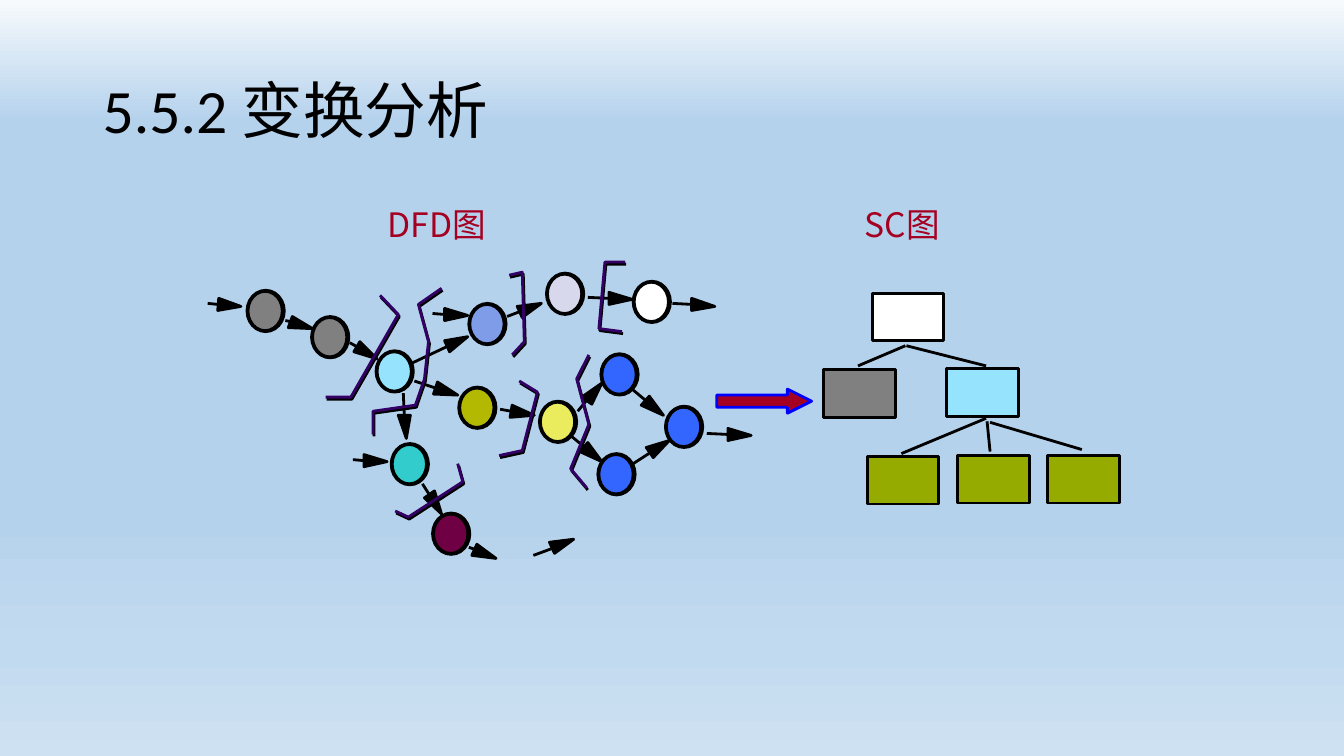
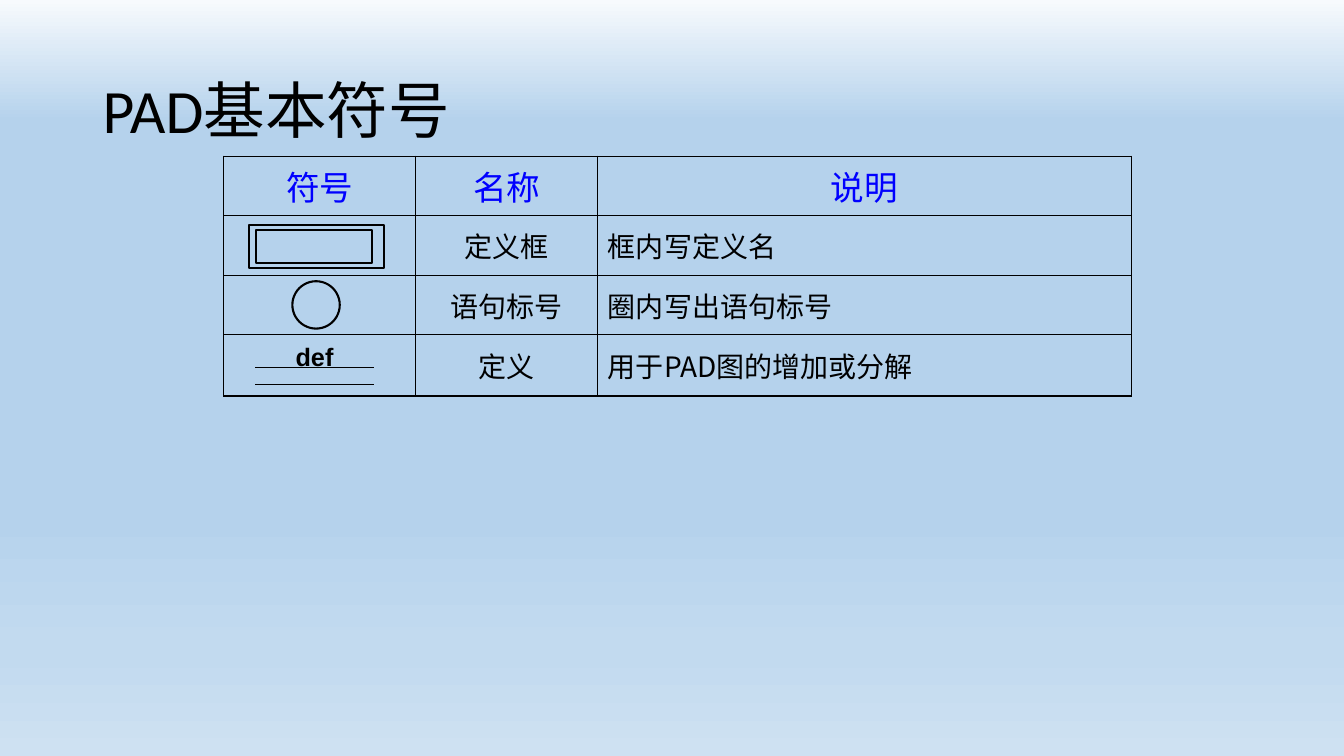
import math

from lxml import etree
from pptx import Presentation
from pptx import util as u
from pptx.dml.color import RGBColor
from pptx.enum import shapes, text
from pptx.oxml import ns

PX = 9144
BLACK = RGBColor(0x00, 0x00, 0x00)
WHITE = RGBColor(0xFF, 0xFF, 0xFF)
GRAY = RGBColor(0x80, 0x80, 0x80)
CRIMSON = RGBColor(0xA5, 0x00, 0x21)
PURPLE = RGBColor(0x33, 0x00, 0x66)
BLUE = RGBColor(0x00, 0x00, 0xFF)
ROYAL = RGBColor(0x33, 0x66, 0xFF)
PERIWINKLE = RGBColor(0x7E, 0x9C, 0xE8)
LAVENDER = RGBColor(0xD8, 0xD8, 0xEC)
OLIVE = RGBColor(0xB3, 0xB9, 0x00)
YELLOW = RGBColor(0xEA, 0xEC, 0x5E)
TEAL = RGBColor(0x33, 0xCC, 0xCC)
PLUM = RGBColor(0x6E, 0x00, 0x43)
SKY = RGBColor(0x96, 0xE3, 0xFE)
MOSS = RGBColor(0x96, 0xAB, 0x00)
BACKDROP = [
    (0, RGBColor(0xF7, 0xFA, 0xFD)),
    (16, RGBColor(0xB5, 0xD2, 0xEC)),
    (71, RGBColor(0xB8, 0xD4, 0xED)),
    (86, RGBColor(0xC2, 0xDA, 0xEF)),
    (100, RGBColor(0xCE, 0xE1, 0xF2)),
]
CJK = "Noto Sans CJK SC"
OVAL = shapes.MSO_SHAPE.OVAL
RECT = shapes.MSO_SHAPE.RECTANGLE
CENTER = text.PP_ALIGN.CENTER
LEFT = text.PP_ALIGN.LEFT
MIDDLE = text.MSO_ANCHOR.MIDDLE

NODES = [
    (309, 314, GRAY), (245, 288, GRAY), (465, 301, PERIWINKLE),
    (542, 271, LAVENDER), (628, 279, WHITE), (455, 384, OLIVE),
    (535, 398, YELLOW), (596, 351, ROYAL), (593, 450, ROYAL),
    (660, 403, ROYAL), (388, 440, TEAL), (429, 509, PLUM),
]
FLOWS = [
    ((206, 301), (239, 304)), ((350, 456), (384, 458)),
    ((429, 311), (464, 313)), ((283, 318), (310, 326)),
    ((347, 340), (374, 356)), ((411, 378), (454, 392)),
    ((407, 361), (464, 334)), ((400, 390), (403, 435)),
    ((503, 314), (537, 301)), ((583, 295), (627, 297)),
    ((667, 301), (709, 304)), ((701, 430), (745, 432)),
    ((496, 406), (530, 412)), ((628, 460), (664, 437)),
    ((628, 387), (658, 412)), ((567, 433), (597, 458)),
    ((573, 408), (597, 380)), ((419, 480), (438, 510)),
    ((465, 543), (492, 554)), ((529, 551), (569, 535)),
]
BOUNDARIES = [
    [(377, 293), (395, 312), (348, 394), (323, 394)],
    [(438, 286), (415, 302), (425, 339), (421, 376), (412, 402),
     (370, 408), (370, 431)],
    [(505, 273), (518, 270), (520, 339), (508, 352)],
    [(620, 260), (600, 260), (594, 326), (617, 329)],
    [(515, 378), (533, 389), (518, 447), (495, 452)],
    [(584, 352), (572, 376), (584, 421), (566, 465), (582, 484)],
    [(454, 460), (459, 478), (405, 513), (392, 507)],
]
MODULES = [
    (865, 291, WHITE), (817, 367, GRAY), (939, 366, SKY),
    (860, 453, MOSS), (950, 452, MOSS), (1039, 452, MOSS),
]
CALLS = [
    ((898, 343), (851, 363)), ((899, 343), (978, 363)),
    ((978, 415), (894, 450)), ((979, 418), (982, 448)),
    ((982, 419), (1073, 446)),
]
SYMBOL_ROWS = [
    ("符号", "名称", "说明"),
    ("", "定义框", "框内写定义名"),
    ("", "语句标号", "圈内写出语句标号"),
    ("", "定义", "用于PAD图的增加或分解"),
]


class Board:
    def __init__(self):
        self.deck = Presentation()
        self.deck.slide_width = 1333 * PX
        self.deck.slide_height = 750 * PX
        self.page = None
        master = self.deck.slide_master
        fill = master.background.fill
        fill.gradient()
        fill.gradient_angle = 270
        stops = master.element.find(".//" + ns.qn("a:gsLst"))
        stops.clear()
        for percent, color in BACKDROP:
            stop = etree.SubElement(stops, ns.qn("a:gs"), pos=str(percent * 1000))
            etree.SubElement(stop, ns.qn("a:srgbClr"), val=str(color))

    def new_page(self, title):
        self.page = self.deck.slides.add_slide(self.deck.slide_layouts[6])
        para = self.label(92, 40, 1150, 145, title, 44, BLACK, "Calibri", LEFT)
        para.line_spacing = 0.9

    def set_text(self, para, words, size, color, font=CJK, align=CENTER, bold=False):
        para.text = words
        para.alignment = align
        para.font.size = u.Pt(size)
        para.font.bold = bold
        para.font.color.rgb = color
        para.font.name = font
        props = para._p.get_or_add_pPr().get_or_add_defRPr()
        etree.SubElement(props, ns.qn("a:ea"), typeface=CJK)

    def label(self, x, y, w, h, words, size, color, font=CJK, align=CENTER, bold=False):
        box = self.page.shapes.add_textbox(x * PX, y * PX, w * PX, h * PX)
        frame = box.text_frame
        frame.word_wrap = True
        frame.vertical_anchor = MIDDLE
        para = frame.paragraphs[0]
        self.set_text(para, words, size, color, font, align, bold)
        return para

    def paint(self, shape, fill, line, weight):
        shape.shadow.inherit = False
        if fill is None:
            shape.fill.background()
        else:
            shape.fill.solid()
            shape.fill.fore_color.rgb = fill
        shape.line.color.rgb = line
        shape.line.width = u.Pt(weight)

    def shape(self, kind, x, y, w, h, fill=None, line=BLACK, weight=2):
        shape = self.page.shapes.add_shape(kind, x * PX, y * PX, w * PX, h * PX)
        self.paint(shape, fill, line, weight)
        return shape

    def line(self, start, end, weight=2):
        ends = [value * PX for value in (*start, *end)]
        line = self.page.shapes.add_connector(shapes.MSO_CONNECTOR.STRAIGHT, *ends)
        line.line.color.rgb = BLACK
        line.line.width = u.Pt(weight)
        etree.SubElement(line._element.spPr, ns.qn("a:effectLst"))

    def outline(self, points, line=BLACK, fill=None):
        builder = self.page.shapes.build_freeform(*points[0], scale=PX)
        builder.add_line_segments(points[1:], close=fill is not None)
        self.paint(builder.convert_to_shape(), fill, line, 2)

    def node(self, x, y, fill):
        self.shape(OVAL, x + 1, y + 1, 34, 39, fill)
        self.shape(OVAL, x, y, 37, 41)

    def flow(self, start, tip, length=23, half=6):
        angle = math.atan2(tip[1] - start[1], tip[0] - start[0])
        cos, sin = math.cos(angle), math.sin(angle)
        base = (tip[0] - length * cos, tip[1] - length * sin)
        wings = [(round(base[0] + side * sin), round(base[1] - side * cos))
                 for side in (half, -half)]
        self.outline([tip, *wings], fill=BLACK)
        self.line(start, (round(base[0]), round(base[1])))

    def boundary(self, points):
        self.outline([(x + 1, y + 2) for x, y in points])
        self.outline(points, PURPLE)

    def table(self, x, y, widths, heights, rows):
        frame = self.page.shapes.add_table(
            len(rows), len(widths), x * PX, y * PX, sum(widths) * PX, sum(heights) * PX)
        table = frame.table
        table.first_row = False
        table.horz_banding = False
        for column, width in zip(table.columns, widths):
            column.width = width * PX
        for r, (row, height) in enumerate(zip(rows, heights)):
            table.rows[r].height = height * PX
            size, color = (20, BLACK) if r else (24, BLUE)
            for c, words in enumerate(row):
                cell = table.cell(r, c)
                cell.vertical_anchor = MIDDLE
                align = LEFT if r and c == 2 else CENTER
                self.set_text(cell.text_frame.paragraphs[0], words, size, color, align=align)
                self.border(cell)
                cell.fill.background()

    def border(self, cell):
        props = cell._tc.get_or_add_tcPr()
        for side in ("lnL", "lnR", "lnT", "lnB"):
            edge = etree.SubElement(props, ns.qn("a:" + side), w=str(int(u.Pt(1))))
            solid = etree.SubElement(edge, ns.qn("a:solidFill"))
            etree.SubElement(solid, ns.qn("a:srgbClr"), val=str(BLACK))


def transform_analysis(board):
    board.new_page("5.5.2 变换分析")
    for node in NODES:
        board.node(*node)
    for flow in FLOWS:
        board.flow(*flow)
    board.node(373, 348, SKY)
    for points in BOUNDARIES:
        board.boundary(points)
    for x, y, fill in MODULES:
        board.shape(RECT, x, y, 71, 47, fill)
    for call in CALLS:
        board.line(*call)
    arrow = board.shape(shapes.MSO_SHAPE.RIGHT_ARROW, 711, 386, 94, 24, CRIMSON, BLUE)
    arrow.adjustments[0] = 0.5
    arrow.adjustments[1] = 1
    board.label(340, 197, 187, 50, "DFD图", 24, CRIMSON)
    board.label(811, 197, 168, 50, "SC图", 24, CRIMSON)


def pad_symbols(board):
    board.new_page("PAD基本符号")
    board.table(222, 155, (190, 181, 529), (59, 59, 59, 61), SYMBOL_ROWS)
    board.shape(RECT, 247, 223, 134, 43, weight=1.5)
    board.shape(RECT, 254, 228, 115, 33, weight=1.5)
    board.shape(OVAL, 290, 279, 47, 47, weight=1.5)
    for y in (381, 365):
        board.line((253, y), (371, y), 0.75)
    board.label(253, 334, 118, 40, "def", 18, BLACK, "Arial", bold=True)


def main():
    board = Board()
    transform_analysis(board)
    pad_symbols(board)
    board.deck.save("out.pptx")


if __name__ == "__main__":
    main()
